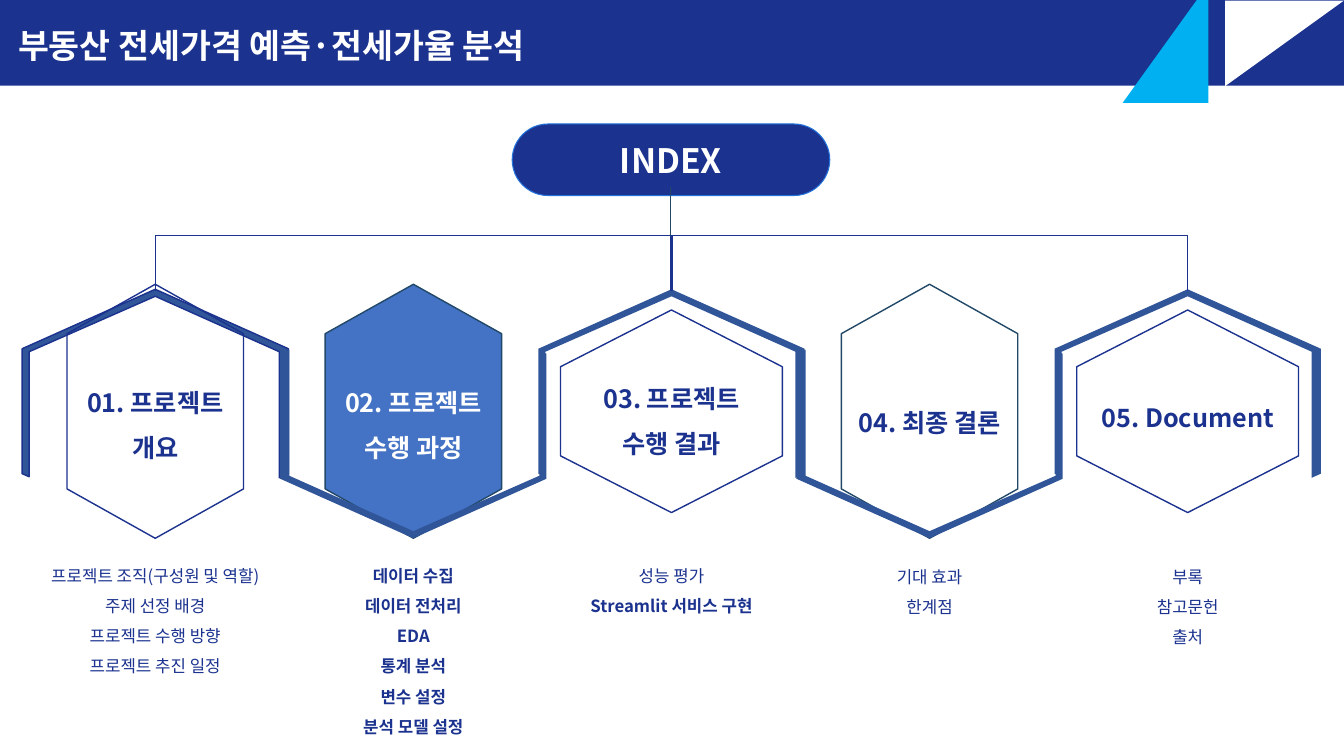
from lxml import etree
from pptx import Presentation
from pptx.dml.color import RGBColor
from pptx.enum.shapes import MSO_CONNECTOR, MSO_SHAPE
from pptx.enum.text import MSO_ANCHOR, MSO_AUTO_SIZE, PP_ALIGN
from pptx.oxml.ns import qn
from pptx.util import Inches, Pt

# Content
HEADER = "부동산 전세가격 예측·전세가율 분석"
ROOT = "INDEX"
BOLD_ITEMS = {"Streamlit 서비스 구현"}
# title lines, title top, title width, items, items top, items width
SECTIONS = [
    (["01. 프로젝트", "개요"], 3.64, 1.97,
     ["프로젝트 조직(구성원 및 역할)", "주제 선정 배경",
      "프로젝트 수행 방향", "프로젝트 추진 일정"], 5.46, 2.55),
    (["02. 프로젝트", "수행 과정"], 3.64, 2.25,
     ["데이터 수집", "데이터 전처리", "EDA", "통계 분석", "변수 설정", "분석 모델 설정"], 5.46, 2.31),
    (["03. 프로젝트", "수행 결과"], 3.6, 2.25,
     ["성능 평가", "Streamlit 서비스 구현"], 5.46, 2.55),
    (["04. 최종 결론"], 3.84, 1.97, ["기대 효과", "한계점"], 5.47, 2.05),
    (["05. Document"], 3.79, 2.18, ["부록", "참고문헌", "출처"], 5.47, 2.55),
]
HIGHLIGHT = 1  # section with the filled hexagon
COLORS = {"navy": "1B328F", "sky": "00B0F0", "white": "FFFFFF", "ribbon": "305598",
          "blue": "4472C4", "teal": "214867", "edge": "2574DB"}
FONT = "Noto Sans CJK KR"

# Layout
FIRST_X, STEP = 1.54, 2.56
HEXAGON_Y = 4.08
TALL, WIDE = (2.52, 1.75), (2.01, 2.2)  # hexagon size before its quarter turn
PEAK_Y, VALLEY_Y = 2.87, 5.34
RIBBON = [(0, 0), (1.32, 0.59), (1.32, 1.83), (1.23, 1.87), (1.23, 0.62), (0, 0.07),
          (-1.25, 0.62), (-1.25, 1.86), (-1.32, 1.83), (-1.32, 0.59)]
LINE_PITCH = 1.8  # line pitch per point of text size


def color(name):
    return RGBColor.from_string(COLORS[name])


def paint(shape, fill=None, line=None, weight=1):
    shape.shadow.inherit = False
    if fill:
        shape.fill.solid()
        shape.fill.fore_color.rgb = color(fill)
    else:
        shape.fill.background()
    if line:
        shape.line.color.rgb = color(line)
        shape.line.width = Pt(weight)
    else:
        shape.line.fill.background()
    return shape


def add_shape(kind, left, top, width, height, rotation=0, **style):
    shape = slide.shapes.add_shape(kind, Inches(left), Inches(top), Inches(width), Inches(height))
    shape.rotation = rotation
    return paint(shape, **style)


def add_centered(kind, x, y, width, height, rotation, **style):
    return add_shape(kind, x - width / 2, y - height / 2, width, height, rotation, **style)


def write_text(lines, shape, size=12, ink="navy", bold=False, align=PP_ALIGN.CENTER,
               anchor=MSO_ANCHOR.TOP, pitch=LINE_PITCH):
    frame = shape.text_frame
    frame.word_wrap = True
    frame.vertical_anchor = anchor
    for index, line in enumerate(lines):
        paragraph = frame.paragraphs[0] if index == 0 else frame.add_paragraph()
        paragraph.alignment = align
        if pitch:
            paragraph.line_spacing = Pt(size * pitch)
        run = paragraph.add_run()
        run.text = line
        run.font.size = Pt(size)
        run.font.name = FONT
        run.font.bold = bold or line in BOLD_ITEMS
        run.font.color.rgb = color(ink)
        east_asian = etree.SubElement(run.font._element, qn("a:ea"))
        east_asian.set("typeface", FONT)


def add_label(lines, x, top, width, size, **style):
    height = 0.1 + len(lines) * size * LINE_PITCH / 72
    box = slide.shapes.add_textbox(Inches(x - width / 2), Inches(top), Inches(width), Inches(height))
    box.text_frame.auto_size = MSO_AUTO_SIZE.SHAPE_TO_FIT_TEXT
    write_text(lines, box, size=size, **style)


def add_ribbon(x, y, direction, line=None):
    points = [(Inches(x + direction * dx), Inches(y + direction * dy)) for dx, dy in RIBBON]
    builder = slide.shapes.build_freeform(*points[0])
    builder.add_line_segments(points[1:], close=True)
    paint(builder.convert_to_shape(), fill="ribbon", line=line)


def add_hexagon(x, size, **style):
    shape = add_centered(MSO_SHAPE.HEXAGON, x, HEXAGON_Y, *size, 270, **style)
    shape.adjustments[0] = 0.28


presentation = Presentation()
presentation.slide_width, presentation.slide_height = Inches(13.33), Inches(7.5)
slide = presentation.slides.add_slide(presentation.slide_layouts[6])

# Header band with corner triangles
header = add_shape(MSO_SHAPE.RECTANGLE, 0, 0, 13.33, 0.85, fill="navy")
header.text_frame.margin_left = Inches(0.18)
write_text([HEADER], header, size=24, ink="white", bold=True, align=PP_ALIGN.LEFT)
add_centered(MSO_SHAPE.RIGHT_TRIANGLE, 12.74, 0.43, 0.85, 1.18, 90, fill="white")
add_centered(MSO_SHAPE.RIGHT_TRIANGLE, 11.56, 0.43, 1.18, 0.85, 270, fill="sky")

# Hexagons and the ribbon that runs over and under them
centers = [FIRST_X + STEP * index for index in range(len(SECTIONS))]
for index, x in enumerate(centers):
    if index % 2:
        add_hexagon(x, TALL, fill="blue" if index == HIGHLIGHT else None, line="teal")
        add_ribbon(x, VALLEY_Y, -1)
    elif index == 0:
        add_ribbon(x, PEAK_Y, 1, line="navy")
        add_hexagon(x, TALL, line="navy")
    else:
        add_ribbon(x, PEAK_Y, 1)
        add_hexagon(x, WIDE, fill="white", line="navy")

# Tree lines and root
for x in (centers[1], centers[3]):
    bracket = add_centered(MSO_SHAPE.LEFT_BRACKET, x, 2.61, 0.55, 5.11, 90, line="navy", weight=0.75)
    bracket.adjustments[0] = 0
root = add_shape(MSO_SHAPE.ROUNDED_RECTANGLE, 5.08, 1.23, 3.15, 0.71,
                 fill="navy", line="edge", weight=0.75)
root.adjustments[0] = 0.5
write_text([ROOT], root, size=24, ink="white", bold=True, anchor=MSO_ANCHOR.MIDDLE, pitch=None)
stem = slide.shapes.add_connector(MSO_CONNECTOR.STRAIGHT, Inches(6.65), Inches(1.86),
                                  Inches(6.65), Inches(2.34))
stem.line.color.rgb = color("teal")
stem.line.width = Pt(0.75)
etree.SubElement(stem._element.spPr, qn("a:effectLst"))

# Section titles and items
for index, (x, section) in enumerate(zip(centers, SECTIONS)):
    title, title_top, title_width, items, items_top, items_width = section
    highlighted = index == HIGHLIGHT
    add_label(title, x, title_top, title_width, 18, bold=True,
              ink="white" if highlighted else "navy")
    add_label(items, x, items_top, items_width, 12, bold=highlighted)

presentation.save("out.pptx")
